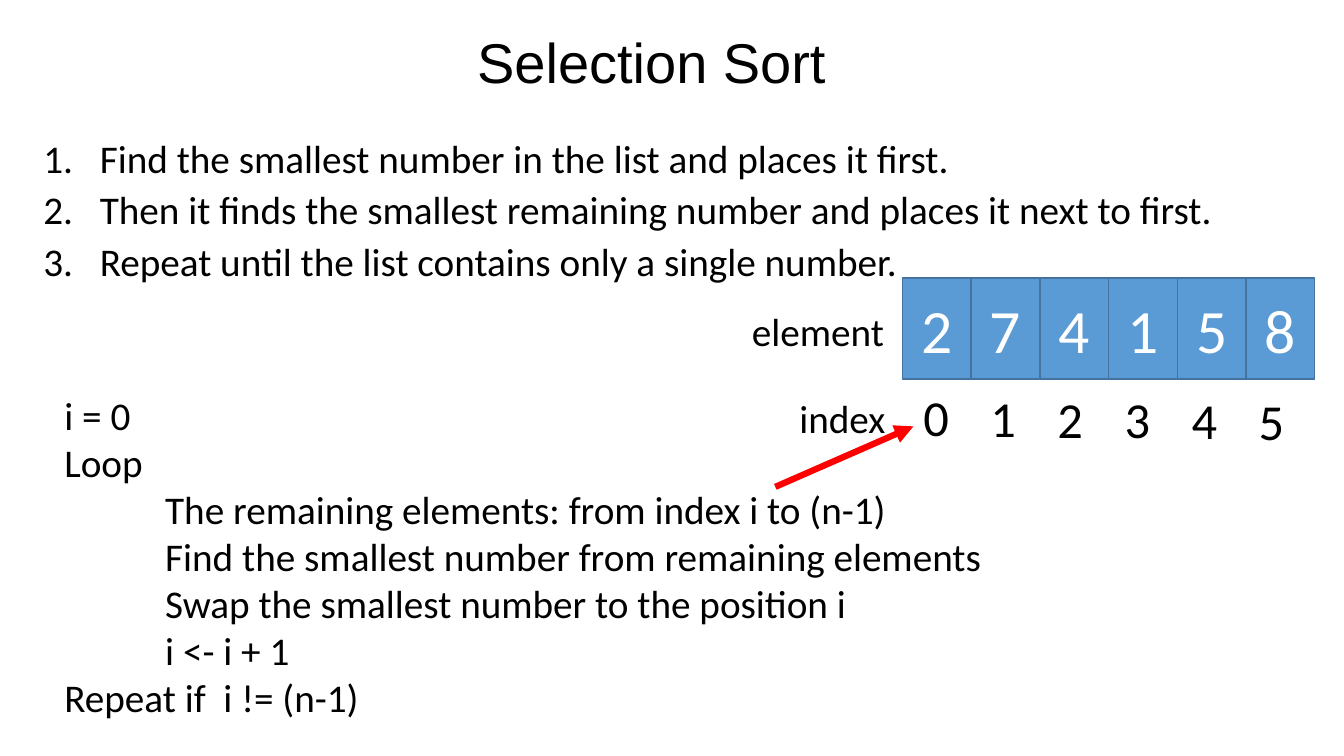
from lxml.etree import SubElement
from pptx import Presentation
from pptx.dml.color import RGBColor
from pptx.enum.shapes import MSO_CONNECTOR, MSO_SHAPE
from pptx.enum.text import MSO_ANCHOR, MSO_AUTO_SIZE, PP_ALIGN
from pptx.oxml.ns import qn
from pptx.util import Inches, Pt

COLORS = {"text": "000000", "cell": "5B9BD5", "edge": "43739E",
          "value": "FFFFFF", "arrow": "FF0000"}

STEPS = [
    "Find the smallest number in the list and places it first.",
    "Then it finds the smallest remaining number and places it next to first.",
    "Repeat until the list contains only a single number.",
]
CODE = [
    (0, "i = 0"),
    (0, "Loop"),
    (1, "The remaining elements: from index i to (n-1)"),
    (1, "Find the smallest number from remaining elements"),
    (1, "Swap the smallest number to the position i"),
    (1, "i <- i + 1"),
    (0, "Repeat if  i != (n-1)"),
]
VALUES = [2, 7, 4, 1, 5, 8]


def color(name):
    return RGBColor.from_string(COLORS[name])


def place(shape, box):
    shape.left, shape.top, shape.width, shape.height = map(Inches, box)


def write(para, text, size=28, font="Calibri", ink="text",
          align=PP_ALIGN.LEFT, line=1.0, before=0, left=0, hang=0, number=False):
    """Fill a paragraph; left and hang are its indents in inches."""
    props = para._p.get_or_add_pPr()
    props.set("marL", str(Inches(left)))
    props.set("indent", str(-Inches(hang)))
    para.alignment = align
    para.line_spacing = line
    para.space_before = Pt(before)
    if number:
        SubElement(props, qn("a:buFont"), typeface="+mj-lt")
        SubElement(props, qn("a:buAutoNum"), type="arabicPeriod")
    run = para.add_run()
    run.text = text
    run.font.size = Pt(size)
    run.font.name = font
    run.font.color.rgb = color(ink)


def add_para(frame, first):
    return frame.paragraphs[0] if first else frame.add_paragraph()


def add_title(slide, box):
    title = slide.shapes.title
    place(title, box)
    frame = title.text_frame
    frame.auto_size = MSO_AUTO_SIZE.NONE
    frame.vertical_anchor = MSO_ANCHOR.MIDDLE
    write(frame.paragraphs[0], "Selection Sort", size=40, font="Arial",
          align=PP_ALIGN.CENTER, line=0.9)


def add_steps(slide, box):
    body = slide.placeholders[1]
    place(body, box)
    frame = body.text_frame
    frame.auto_size = MSO_AUTO_SIZE.NONE
    for i, step in enumerate(STEPS):
        write(add_para(frame, i == 0), step, line=0.8, before=10 if i else 0,
              left=0.56, hang=0.56, number=True)


def add_label(slide, text, box, size=28):
    label = slide.shapes.add_textbox(*map(Inches, box))
    label.text_frame.word_wrap = False
    write(label.text_frame.paragraphs[0], text, size=size)


def add_code(slide, box):
    frame = slide.shapes.add_textbox(*map(Inches, box)).text_frame
    frame.word_wrap = True
    for i, (level, text) in enumerate(CODE):
        write(add_para(frame, i == 0), text, left=level)


def add_cell(slide, value, box):
    cell = slide.shapes.add_shape(MSO_SHAPE.RECTANGLE, *map(Inches, box))
    cell.shadow.inherit = False
    cell.fill.solid()
    cell.fill.fore_color.rgb = color("cell")
    cell.line.color.rgb = color("edge")
    cell.line.width = Pt(1)
    cell.text_frame.vertical_anchor = MSO_ANCHOR.MIDDLE
    write(cell.text_frame.paragraphs[0], str(value), size=44, ink="value",
          align=PP_ALIGN.CENTER)


def add_array(slide, box):
    """Draw the row of cells in the box, with labels beside and below it."""
    left, top, width, height = box
    pitch = width / len(VALUES)
    for i, value in enumerate(VALUES):
        add_cell(slide, value, (left + i * pitch, top, pitch, height))
        add_label(slide, str(i),
                  (left + 0.11 + i * 0.665, top + 1.02 + i * 0.008, 0.46, 0.71),
                  size=36)
    add_label(slide, "index", (left - 1.12, top + 1.1, 1.06, 0.57))
    add_label(slide, "element", (left - 1.59, top + 0.24, 1.52, 0.57))


def add_arrow(slide, start, end):
    arrow = slide.shapes.add_connector(MSO_CONNECTOR.STRAIGHT,
                                       *map(Inches, start + end))
    arrow.line.color.rgb = color("arrow")
    arrow.line.width = Pt(4.5)
    SubElement(arrow.line._get_or_add_ln(), qn("a:tailEnd"), type="triangle")
    SubElement(arrow._element.spPr, qn("a:effectLst"))


def main():
    deck = Presentation()
    deck.slide_width, deck.slide_height = Inches(13.33), Inches(7.5)
    slide = deck.slides.add_slide(deck.slide_layouts[1])
    add_steps(slide, (0.33, 1.37, 12.03, 2.86))
    add_title(slide, (1.92, 0.43, 9.08, 0.43))
    add_array(slide, (8.95, 2.76, 4.09, 1))
    add_code(slide, (0.54, 3.83, 9.34, 3.4))
    add_arrow(slide, (7.69, 4.83), (9.06, 4.23))
    deck.save("out.pptx")


if __name__ == "__main__":
    main()
